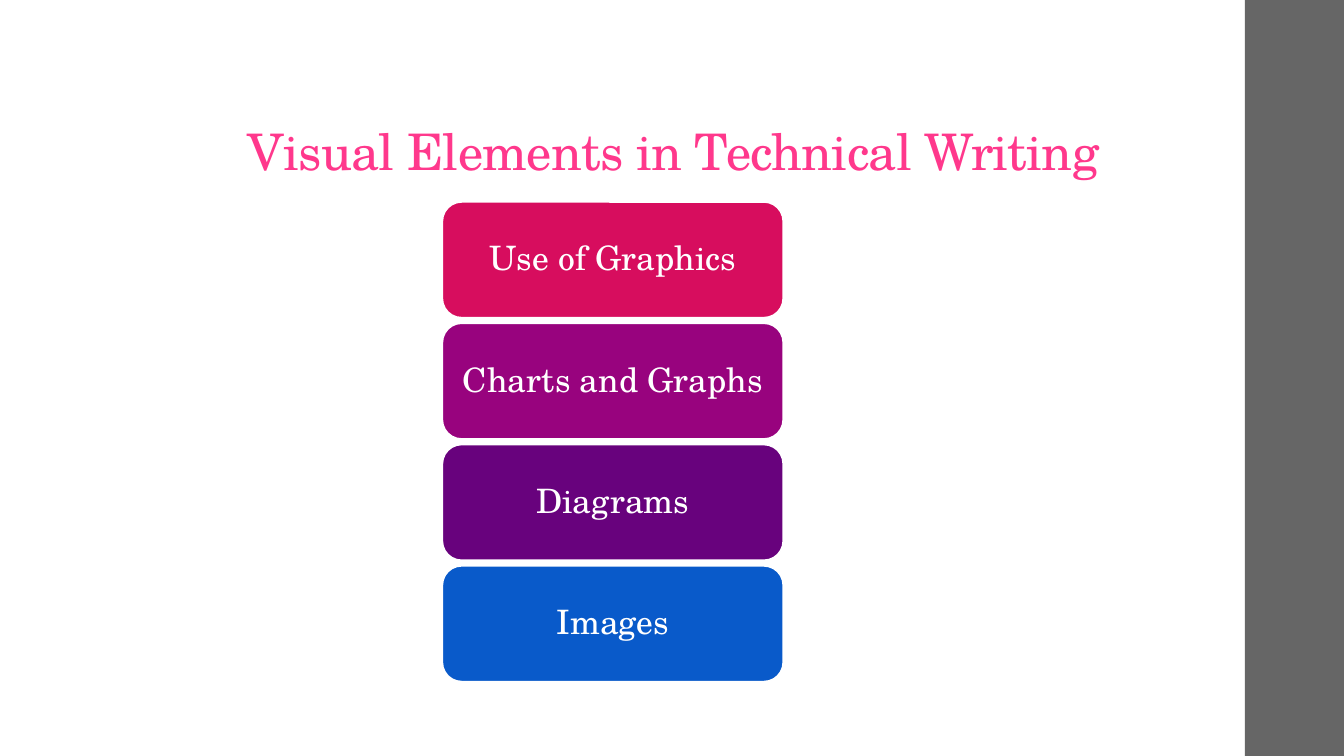
from pptx import Presentation
from pptx.dml.color import RGBColor
from pptx.enum.shapes import MSO_SHAPE as Shape
from pptx.enum.text import MSO_ANCHOR as Anchor, PP_ALIGN as Align
from pptx.util import Pt

FONT = "TeX Gyre Schola"
COLORS = {
    "title": "FF388C",
    "white": "FFFFFF",
    "side_band": "666666",
    "graphics": "D70D5E",
    "charts": "98037E",
    "diagrams": "68027D",
    "images": "095ACA",
}
TOPICS = [
    ("Use of Graphics", "graphics"),
    ("Charts and Graphs", "charts"),
    ("Diagrams", "diagrams"),
    ("Images", "images"),
]
CARD_LEFT, CARD_TOP = 316, 144.3
CARD_WIDTH, CARD_HEIGHT = 243.4, 82.6
CARD_PITCH = 86.65


def rgb(name):
    return RGBColor.from_string(COLORS[name])


def write_text(frame, text, *, size, color, anchor=Anchor.MIDDLE,
               insets=(4, 4, 4, 4), spacing=None):
    """Fill a frame with one centred paragraph; spacing is in points."""
    frame.word_wrap = True
    frame.vertical_anchor = anchor
    (frame.margin_left, frame.margin_top,
     frame.margin_right, frame.margin_bottom) = map(Pt, insets)
    paragraph = frame.paragraphs[0]
    paragraph.alignment = Align.CENTER
    paragraph.line_spacing = 0.9
    run = paragraph.add_run()
    run.text = text
    run.font.name = FONT
    run.font.size = Pt(size)
    run.font.color.rgb = rgb(color)
    if spacing is not None:
        run.font._element.set("spc", str(round(spacing * 100)))


def add_block(slide, kind, left, top, width, height, fill, line=None):
    block = slide.shapes.add_shape(
        kind, Pt(left), Pt(top), Pt(width), Pt(height))
    block.shadow.inherit = False
    block.fill.solid()
    block.fill.fore_color.rgb = rgb(fill)
    if line:
        block.line.color.rgb = rgb(line)
        block.line.width = Pt(1.1)
    else:
        block.line.fill.background()
    return block


def add_title(slide, text):
    title = slide.shapes.add_textbox(Pt(99.4), Pt(20.9), Pt(763.2), Pt(112.3))
    write_text(title.text_frame, text, size=36, color="title",
               anchor=Anchor.BOTTOM, insets=(7.2, 2.2, 7.2, 3.6), spacing=-0.5)


def add_topic_cards(slide):
    for row, (topic, fill) in enumerate(TOPICS):
        card = add_block(slide, Shape.ROUNDED_RECTANGLE, CARD_LEFT,
                         CARD_TOP + row * CARD_PITCH, CARD_WIDTH, CARD_HEIGHT,
                         fill, line="white")
        write_text(card.text_frame, topic, size=24, color="white")


def main():
    deck = Presentation()
    deck.slide_width, deck.slide_height = Pt(960), Pt(540)
    slide = deck.slides.add_slide(deck.slide_layouts[6])
    add_block(slide, Shape.RECTANGLE, 889.2, 0, 70.8, 540, "side_band")
    add_title(slide, "Visual Elements in Technical Writing")
    add_topic_cards(slide)
    deck.save("out.pptx")


if __name__ == "__main__":
    main()
